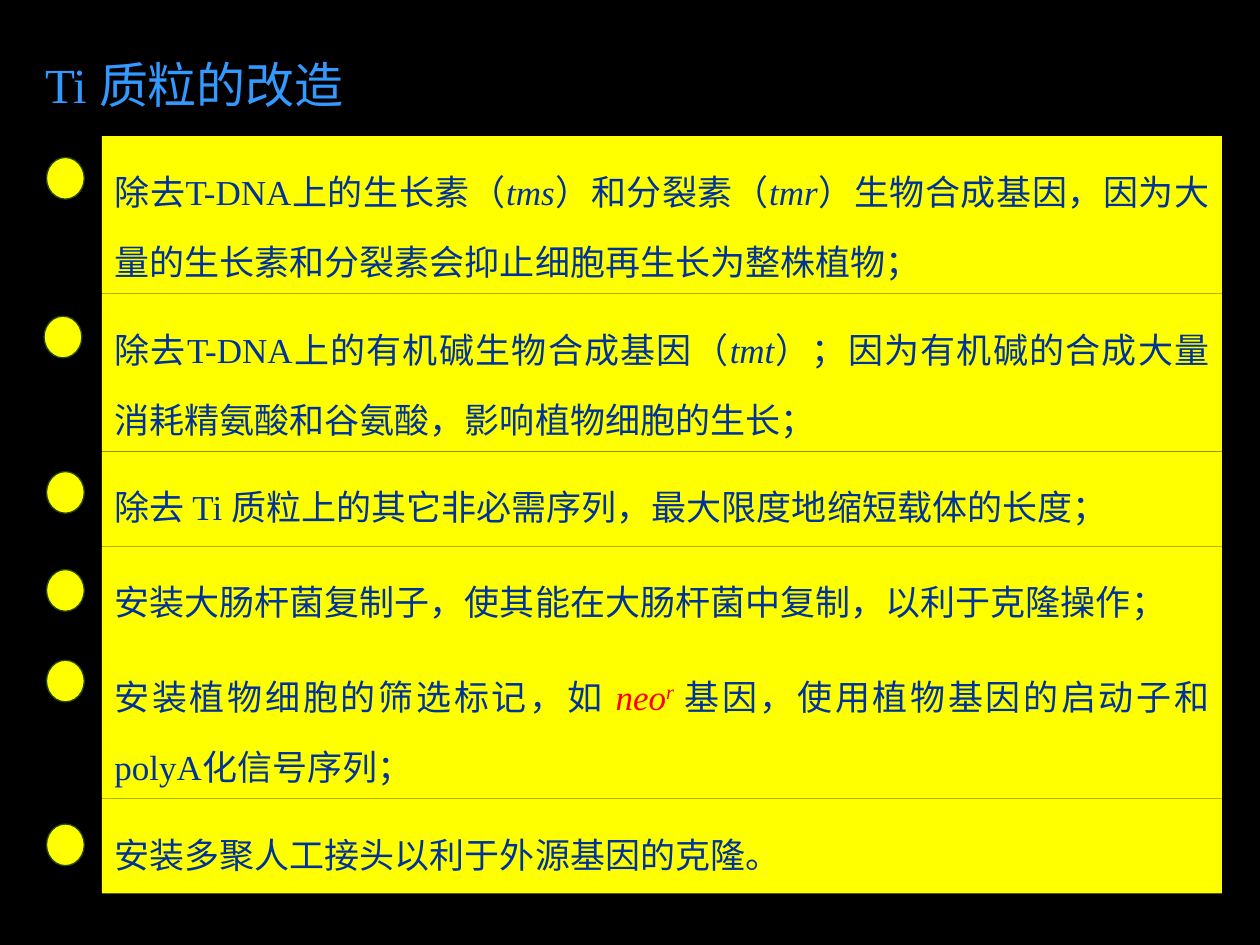
"""Build the slide on modifying the Ti plasmid."""
from dataclasses import dataclass

import pptx
import pptx.dml.color
import pptx.enum.shapes
import pptx.enum.text
import pptx.util

Pt = pptx.util.Pt
RGB = pptx.dml.color.RGBColor.from_string
SHAPES = pptx.enum.shapes.MSO_SHAPE
ALIGN = pptx.enum.text.PP_ALIGN
ANCHOR = pptx.enum.text.MSO_ANCHOR


@dataclass(frozen=True)
class Theme:
    """Colours, font and type sizes of the slide."""
    background: str = "000000"
    heading: str = "3399FF"
    panel: str = "FFFF00"
    body: str = "003399"
    marker_gene: str = "FF0000"
    bullet_edge: str = "254A00"
    font: str = "Times New Roman"
    heading_size: float = 28
    body_size: float = 20


THEME = Theme()
PLAIN = {}
GENE = {"italic": True}
MARKER = {"italic": True, "color": THEME.marker_gene}
SUPERSCRIPT = {**MARKER, "baseline": "30000"}

PANEL_LEFT, PANEL_TOP, PANEL_WIDTH, PANEL_GAP = 58.3, 77.8, 640, 0.15
PANEL_HEIGHTS = {1: 54, 2: 90}
BULLET_WIDTH, BULLET_HEIGHT = 21.6, 23.8

STEPS = [
    (2, 26.6, 90, [("除去T-DNA上的生长素（", PLAIN), ("tms", GENE),
                   ("）和分裂素（", PLAIN), ("tmr", GENE),
                   ("）生物合成基因，因为大量的生长素和分裂素会抑止细胞再生长为整株植物；", PLAIN)]),
    (2, 25.2, 180.7, [("除去T-DNA上的有机碱生物合成基因（", PLAIN), ("tmt", GENE),
                      ("）；因为有机碱的合成大量消耗精氨酸和谷氨酸，影响植物细胞的生长；", PLAIN)]),
    (1, 26.6, 269.5, [("除去 Ti 质粒上的其它非必需序列，最大限度地缩短载体的长度；", PLAIN)]),
    (1, 26.6, 325.5, [("安装大肠杆菌复制子，使其能在大肠杆菌中复制，以利于克隆操作；", PLAIN)]),
    (2, 26.6, 377.3, [("安装植物细胞的筛选标记，如 ", PLAIN), ("neo", MARKER),
                      ("r ", SUPERSCRIPT),
                      ("基因，使用植物基因的启动子和polyA化信号序列；", PLAIN)]),
    (1, 26.6, 470.9, [("安装多聚人工接头以利于外源基因的克隆。", PLAIN)]),
]


def apply_format(target, values):
    """Set every attribute named in values on target."""
    for attribute, value in values.items():
        setattr(target, attribute, value)


def write_text(frame, pieces, size, color, frame_format, paragraph_format):
    """Fill a text frame with one paragraph of formatted pieces."""
    apply_format(frame, frame_format)
    paragraph = frame.paragraphs[0]
    apply_format(paragraph, paragraph_format)
    for wording, style in pieces:
        run = paragraph.add_run()
        run.text = wording
        apply_format(run.font, {"name": THEME.font, "size": Pt(size),
                                "italic": style.get("italic", False)})
        run.font.color.rgb = RGB(style.get("color", color))
        if "baseline" in style:
            run._r.get_or_add_rPr().set("baseline", style["baseline"])


def add_heading(slide, wording):
    """Add the slide heading."""
    heading = slide.shapes.add_textbox(Pt(18.7), Pt(10.8), Pt(261.4), Pt(55.4))
    write_text(heading.text_frame, [(wording, PLAIN)], THEME.heading_size,
               THEME.heading, {"word_wrap": True}, {"line_spacing": 1.5})


def add_filled(slide, kind, left, top, width, height):
    """Add a shape in the panel colour without a shadow."""
    filled = slide.shapes.add_shape(kind, Pt(left), Pt(top), Pt(width), Pt(height))
    filled.shadow.inherit = False
    filled.fill.solid()
    filled.fill.fore_color.rgb = RGB(THEME.panel)
    return filled


def add_panel(slide, top, height, pieces):
    """Add the panel that describes one modification step."""
    panel = add_filled(slide, SHAPES.RECTANGLE, PANEL_LEFT, top, PANEL_WIDTH, height)
    panel.line.fill.background()
    write_text(panel.text_frame, pieces, THEME.body_size, THEME.body,
               {"word_wrap": True, "vertical_anchor": ANCHOR.TOP},
               {"alignment": ALIGN.JUSTIFY, "line_spacing": Pt(40)})


def add_bullet(slide, left, top):
    """Add the round marker of one step."""
    bullet = add_filled(slide, SHAPES.OVAL, left, top, BULLET_WIDTH, BULLET_HEIGHT)
    bullet.line.color.rgb = RGB(THEME.bullet_edge)
    bullet.line.width = Pt(0.75)


def main():
    """Build and save the slide."""
    deck = pptx.Presentation()
    apply_format(deck, {"slide_width": Pt(720), "slide_height": Pt(540)})
    slide = deck.slides.add_slide(deck.slide_layouts[6])
    slide.background.fill.solid()
    slide.background.fill.fore_color.rgb = RGB(THEME.background)
    add_heading(slide, "Ti 质粒的改造")
    top = PANEL_TOP
    for line_count, bullet_left, bullet_top, pieces in STEPS:
        height = PANEL_HEIGHTS[line_count]
        add_panel(slide, top, height, pieces)
        add_bullet(slide, bullet_left, bullet_top)
        top += height + PANEL_GAP
    deck.save("out.pptx")


if __name__ == "__main__":
    main()
